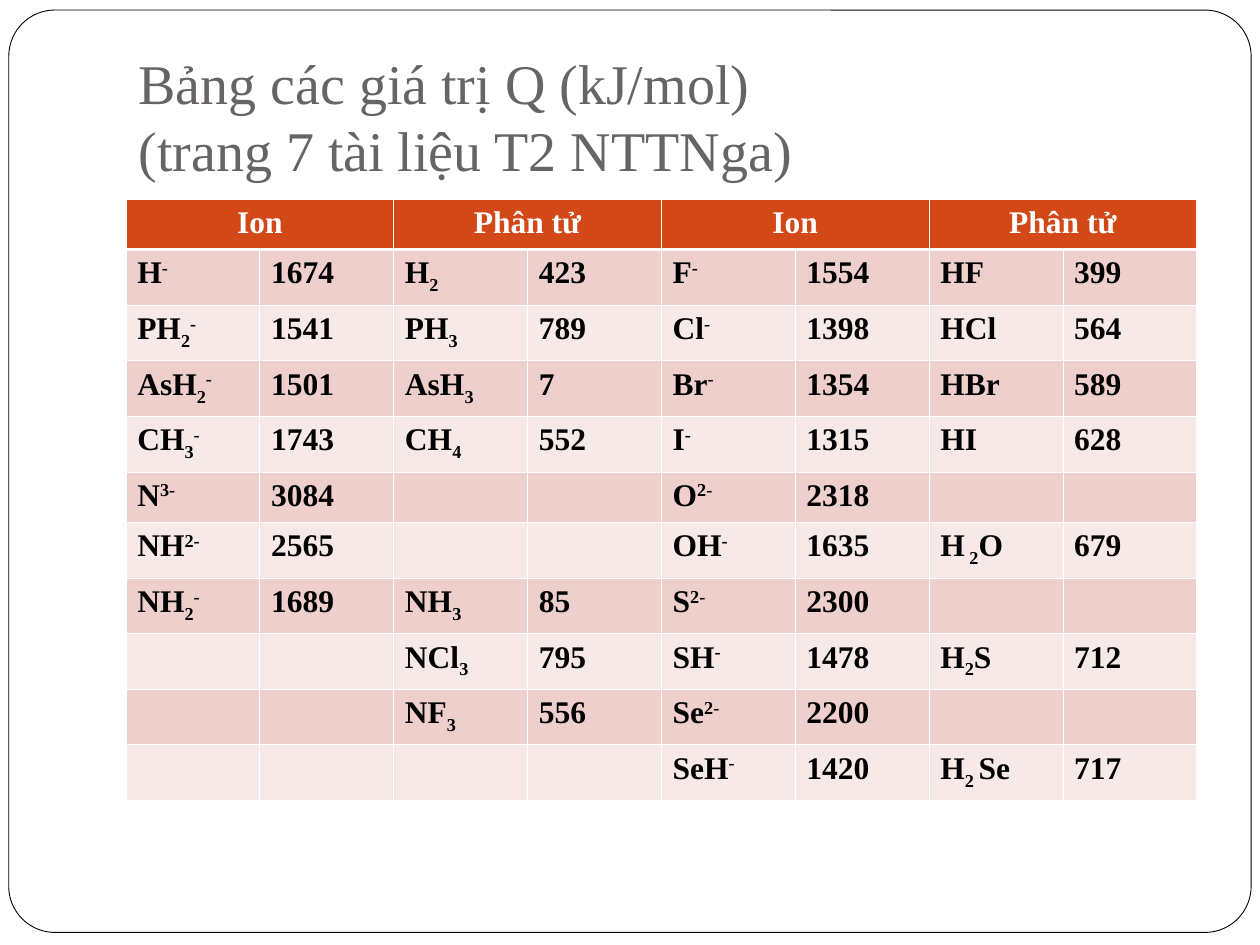
from lxml import etree
from pptx import Presentation
from pptx import util as u
from pptx.dml.color import RGBColor
from pptx.enum import shapes, text
from pptx.oxml.ns import qn

FONT = "Times New Roman"
WHITE, BLACK, GREY = "FFFFFF", "000000", "696464"
HEAD, BANDS = "D34817", ("EFCFCC", "F7E9E7")
THIN, THICK = 0.45, 1.47

# Formula marks: _ starts a subscript, ^ a superscript, | returns to the line
LEVELS = {"_": "-25000", "^": "30000", "|": None}

HEADS = ["Ion", "Phân tử"] * 2
ROWS = [
    ["H^-", "1674", "H_2", "423", "F^-", "1554", "HF", "399"],
    ["PH_2^-", "1541", "PH_3", "789", "Cl^-", "1398", "HCl", "564"],
    ["AsH_2^-", "1501", "AsH_3", "7", "Br^-", "1354", "HBr", "589"],
    ["CH_3^-", "1743", "CH_4", "552", "I^-", "1315", "HI", "628"],
    ["N^3-", "3084", "", "", "O^2-", "2318", "", ""],
    ["NH^2-", "2565", "", "", "OH^-", "1635", "H_ 2|O", "679"],
    ["NH_2^-", "1689", "NH_3", "85", "S^2-", "2300", "", ""],
    ["", "", "NCl_3", "795", "SH^-", "1478", "H_2|S", "712"],
    ["", "", "NF_3", "556", "Se^2-", "2200", "", ""],
    ["", "", "", "", "SeH^-", "1420", "H_2 |Se", "717"],
]
SHORT_ROWS = (0, 5)


def rgb(code):
    return RGBColor.from_string(code)


def style(font, size, color, bold=False):
    for name, value in {"name": FONT, "size": u.Pt(size), "bold": bold}.items():
        setattr(font, name, value)
    font.color.rgb = rgb(color)


def split(formula):
    """Cut a marked formula into (text, baseline) parts."""
    parts = [["", None]]
    for char in formula:
        if char in LEVELS:
            parts.append(["", LEVELS[char]])
        else:
            parts[-1][0] += char
    return [part for part in parts if part[0]]


def write(cell, formula, color, align):
    para = cell.text_frame.paragraphs[0]
    para.alignment = align
    for words, level in split(formula):
        run = para.add_run()
        run.text = words
        style(run.font, 18, color, True)
        if level:
            run._r.get_or_add_rPr().set("baseline", level)


def border(cell, widths):
    props = cell._tc.get_or_add_tcPr()
    for side, width in zip("LRTB", widths):
        line = etree.SubElement(props, qn(f"a:ln{side}"), w=str(u.Pt(width)))
        fill = etree.SubElement(line, qn("a:solidFill"))
        etree.SubElement(fill, qn("a:srgbClr"), val=WHITE)


def paint(cell, color, top=THIN, bottom=THIN):
    border(cell, (THIN, THIN, top, bottom))
    cell.fill.solid()
    cell.fill.fore_color.rgb = rgb(color)
    margins = {"margin_left": 0.09, "margin_right": 0.09,
               "margin_top": 0.05, "margin_bottom": 0.05}
    for name, value in margins.items():
        setattr(cell, name, u.Inches(value))


def frame(slide):
    box = slide.shapes.add_shape(
        shapes.MSO_SHAPE.ROUNDED_RECTANGLE,
        u.Inches(0.07), u.Inches(0.08), u.Inches(9.86), u.Inches(7.32))
    box.adjustments[0] = 0.05
    box.shadow.inherit = False
    box.fill.solid()
    box.fill.fore_color.rgb = rgb(WHITE)
    box.line.color.rgb = rgb(BLACK)
    box.line.width = u.Pt(0.5)


def title(slide, words):
    box = slide.shapes.add_textbox(
        u.Inches(1), u.Inches(0.3), u.Inches(8.5), u.Inches(1.25))
    body = box.text_frame
    formats = {"word_wrap": True, "vertical_anchor": text.MSO_ANCHOR.BOTTOM,
               "margin_bottom": u.Inches(0.1)}
    for name, value in formats.items():
        setattr(body, name, value)
    para = body.paragraphs[0]
    para.text = words
    for run in para.runs:
        style(run.font, 32, GREY)


def table(slide):
    count = len(ROWS[0])
    grid = slide.shapes.add_table(
        len(ROWS) + 1, count,
        u.Inches(1), u.Inches(1.58), u.Inches(8.5), u.Inches(4.57)).table
    grid.horz_banding = False
    for col in grid.columns:
        col.width = u.Inches(8.5 / count)
    for i, row in enumerate(grid.rows):
        row.height = u.Inches(0.4 if i in SHORT_ROWS else 0.44)

    # Header: each heading spans a formula column and a value column
    for j in range(count):
        paint(grid.cell(0, j), HEAD, bottom=THICK)
    for k, head in enumerate(HEADS):
        cell = grid.cell(0, 2 * k)
        cell.merge(grid.cell(0, 2 * k + 1))
        write(cell, head, WHITE, text.PP_ALIGN.CENTER)

    # Body: banded rows
    for i, row in enumerate(ROWS):
        for j, entry in enumerate(row):
            cell = grid.cell(i + 1, j)
            paint(cell, BANDS[i % 2], top=THIN if i else THICK)
            write(cell, entry, BLACK, text.PP_ALIGN.LEFT)


def main():
    deck = Presentation()
    deck.slide_width, deck.slide_height = u.Inches(10), u.Inches(7.5)
    slide = deck.slides.add_slide(deck.slide_layouts[6])
    frame(slide)
    title(slide, "Bảng các giá trị Q (kJ/mol) \v(trang 7 tài liệu T2 NTTNga)")
    table(slide)
    deck.save("out.pptx")


if __name__ == "__main__":
    main()
